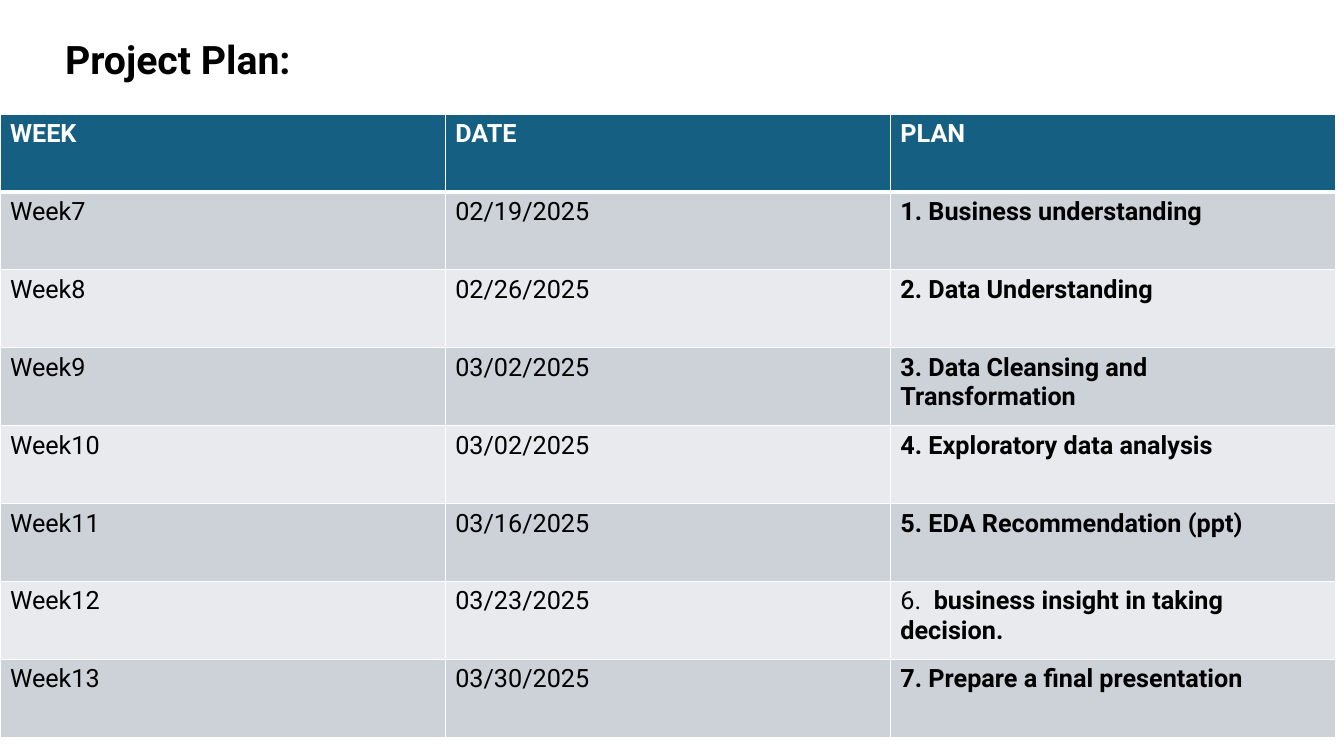
from lxml import etree
from pptx import Presentation
from pptx.dml.color import RGBColor
from pptx.enum import shapes, text
from pptx.oxml.ns import qn
from pptx.util import Pt

TITLE = "Project Plan:"
HEADS = ["WEEK", "DATE", "PLAN"]
PLANS = [
    ("Week7", "02/19/2025", "", "1. Business understanding"),
    ("Week8", "02/26/2025", "", "2. Data Understanding"),
    ("Week9", "03/02/2025", "", "3. Data Cleansing and Transformation"),
    ("Week10", "03/02/2025", "", "4. Exploratory data analysis"),
    ("Week11", "03/16/2025", "", "5. EDA Recommendation (ppt)"),
    ("Week12", "03/23/2025", "6.", "  business insight in taking decision."),
    ("Week13", "03/30/2025", "", "7. Prepare a final presentation"),
]
COLORS = {"white": "FFFFFF", "black": "000000", "head": "156082",
          "odd": "CCD2D8", "even": "E8EAED"}
FONT = "Roboto"
COL, ROW, TOP = 318, 55.7, 81.4


def color(name):
    return RGBColor.from_string(COLORS[name])


def style(run, size, ink, bold):
    run.font.name = FONT
    run.font.size = Pt(size)
    run.font.bold = bold
    run.font.color.rgb = color(ink)


def border(cell, side, width):
    props = cell._tc.get_or_add_tcPr()
    line = etree.Element(qn("a:ln" + side), w=str(Pt(width)))
    fill = etree.SubElement(line, qn("a:solidFill"))
    etree.SubElement(fill, qn("a:srgbClr"), val=COLORS["white"])
    props.insert("LRTB".index(side), line)


def fill_cell(cell, parts, back, ink, top, bottom):
    cell.fill.solid()
    cell.fill.fore_color.rgb = color(back)
    for side, width in zip("LRTB", (1, 1, top, bottom)):
        border(cell, side, width)
    para = cell.text_frame.paragraphs[0]
    for words, bold in parts:
        run = para.add_run()
        run.text = words
        style(run, 18, ink, bold)


def add_title(slide):
    box = slide.shapes.add_shape(shapes.MSO_SHAPE.RECTANGLE,
                                 0, Pt(13), Pt(254), Pt(57.6))
    box.shadow.inherit = False
    box.fill.solid()
    box.fill.fore_color.rgb = color("white")
    box.line.fill.background()
    frame = box.text_frame
    frame.text = TITLE
    frame.vertical_anchor = text.MSO_ANCHOR.MIDDLE
    para = frame.paragraphs[0]
    para.alignment = text.PP_ALIGN.CENTER
    style(para.runs[0], 28, "black", True)


def add_plan(slide):
    rows = [[[(head, True)] for head in HEADS]]
    for week, date, lead, plan in PLANS:
        task = [(lead, False)] if lead else []
        rows.append([[(week, False)], [(date, False)], task + [(plan, True)]])
    count, width = len(rows), len(HEADS)
    table = slide.shapes.add_table(count, width, 0, Pt(TOP),
                                   Pt(COL * width), Pt(ROW * count)).table
    for col in table.columns:
        col.width = Pt(COL)
    for r, row in enumerate(rows):
        table.rows[r].height = Pt(ROW)
        back = "head" if r == 0 else "odd" if r % 2 else "even"
        ink = "black" if r else "white"
        top = 3 if r == 1 else 1
        bottom = 1 if r else 3
        for c, parts in enumerate(row):
            fill_cell(table.cell(r, c), parts, back, ink, top, bottom)


def main():
    deck = Presentation()
    deck.slide_width, deck.slide_height = Pt(960), Pt(540)
    slide = deck.slides.add_slide(deck.slide_layouts[6])
    add_title(slide)
    add_plan(slide)
    deck.save("out.pptx")


if __name__ == "__main__":
    main()
